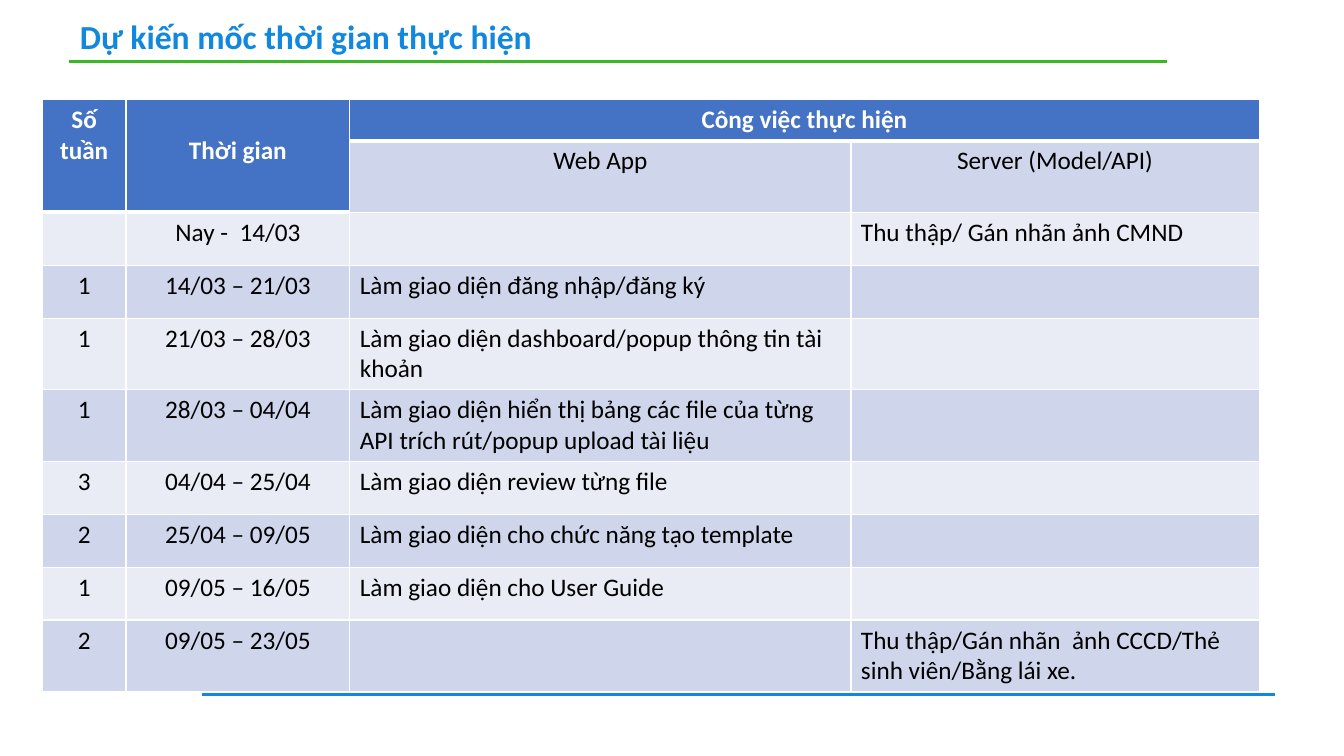
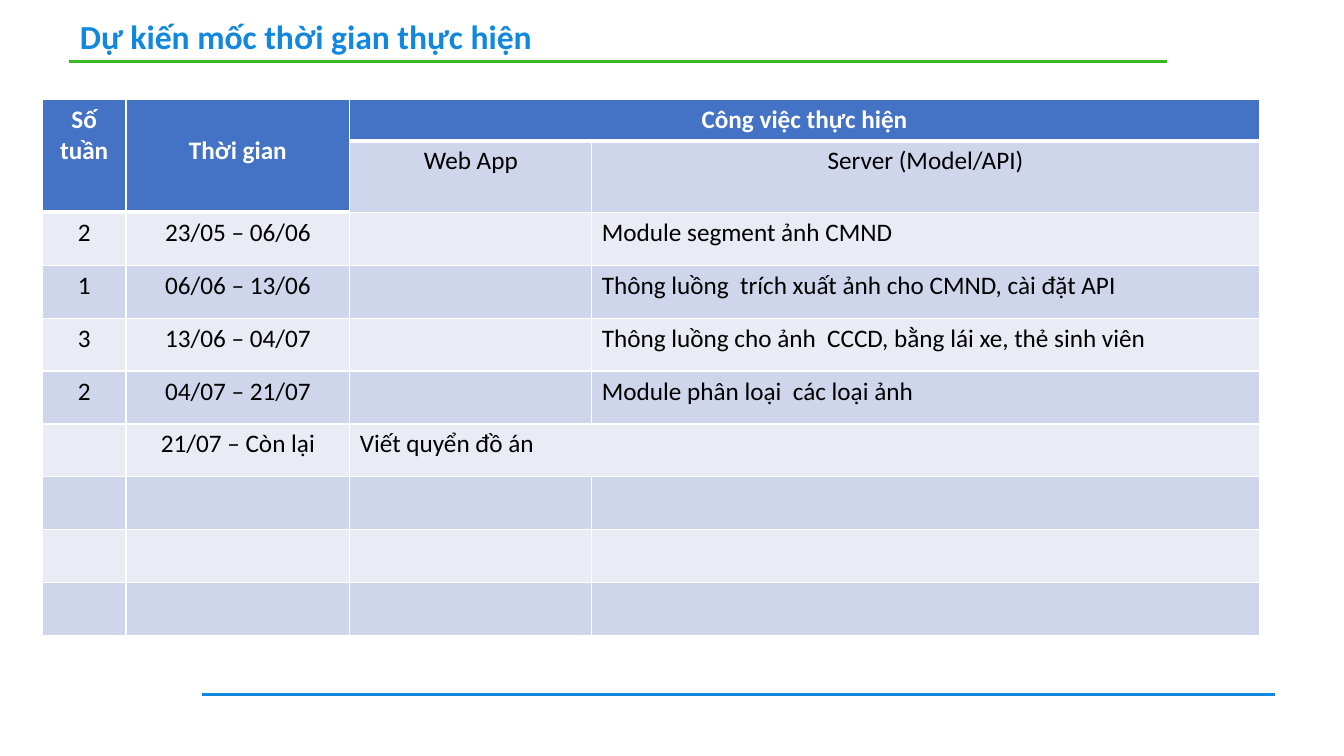
import pptx
import pptx.dml.color
import pptx.enum.shapes
import pptx.enum.text
import pptx.oxml
import pptx.oxml.ns
import pptx.util
from pptx.util import Inches

FONT = "Calibri"
BLUE, GREEN, WHITE, BLACK = "1188DE", "3AB824", "FFFFFF", "000000"
HEADER_FILL = "4472C4"
BAND_FILLS = ("E9EBF5", "CFD5EA")
CENTER = pptx.enum.text.PP_ALIGN.CENTER
LEFT = pptx.enum.text.PP_ALIGN.LEFT

TITLE = "Dự kiến mốc thời gian thực hiện"
HEADER_ROWS = [
    ("Số tuần", "Thời gian", "Công việc thực hiện", ""),
    ("", "", "Web App", "Server (Model/API)"),
]
HEADER_HEIGHTS = (0.4, 0.7)
ROW_HEIGHT = 0.525
RULES = [(2, 12.65, 6.89, BLUE), (0.68, 11.57, 0.61, GREEN)]

# A row of three entries lets its last entry span both work columns.
SCHEDULES = [
    {
        "widths": (0.83, 2.22, 4.97, 4.05),
        "rows": [
            ("", "Nay -  14/03", "", "Thu thập/ Gán nhãn ảnh CMND"),
            ("1", "14/03 – 21/03", "Làm giao diện đăng nhập/đăng ký", ""),
            ("1", "21/03 – 28/03",
             "Làm giao diện dashboard/popup thông tin tài khoản", ""),
            ("1", "28/03 – 04/04",
             "Làm giao diện hiển thị bảng các file của từng API "
             "trích rút/popup upload tài liệu", ""),
            ("3", "04/04 – 25/04", "Làm giao diện review từng file", ""),
            ("2", "25/04 – 09/05",
             "Làm giao diện cho chức năng tạo template", ""),
            ("1", "09/05 – 16/05", "Làm giao diện cho User Guide", ""),
            ("2", "09/05 – 23/05", "",
             "Thu thập/Gán nhãn  ảnh CCCD/Thẻ sinh viên/Bằng lái xe."),
        ],
    },
    {
        "widths": (0.83, 2.22, 2.4, 6.62),
        "rows": [
            ("2", "23/05 – 06/06", "", "Module segment ảnh CMND"),
            ("1", "06/06 – 13/06", "",
             "Thông luồng  trích xuất ảnh cho CMND, cài đặt API"),
            ("3", "13/06 – 04/07", "",
             "Thông luồng cho ảnh  CCCD, bằng lái xe, thẻ sinh viên"),
            ("2", "04/07 – 21/07", "", "Module phân loại  các loại ảnh"),
            ("", "21/07 – Còn lại", "Viết quyển đồ án"),
        ] + [("",) * 4] * 3,
    },
]


def rgb(value):
    return pptx.dml.color.RGBColor.from_string(value)


def style_text(paragraph, size, color, bold, align):
    paragraph.alignment = align
    font = paragraph.font
    font.name, font.size, font.bold = FONT, pptx.util.Pt(size), bold
    font.color.rgb = rgb(color)


def add_rule(slide, left, right, top, color):
    rule = slide.shapes.add_connector(
        pptx.enum.shapes.MSO_CONNECTOR.ELBOW,
        Inches(left), Inches(top), Inches(right), Inches(top))
    rule.line.color.rgb = rgb(color)
    rule.line.width = pptx.util.Pt(2)
    rule._element.spPr.append(pptx.oxml.parse_xml(
        f"<a:effectLst {pptx.oxml.ns.nsdecls('a')}/>"))


def set_borders(cell, bottom_width):
    """Draw white left, right and bottom borders, with widths in points."""
    properties = cell._tc.get_or_add_tcPr()
    for index, (side, width) in enumerate(
            (("L", 1), ("R", 1), ("B", bottom_width))):
        properties.insert(index, pptx.oxml.parse_xml(
            f"<a:ln{side} {pptx.oxml.ns.nsdecls('a')} "
            f'w="{pptx.util.Pt(width)}"><a:solidFill>'
            f'<a:srgbClr val="{WHITE}"/></a:solidFill></a:ln{side}>'))


def add_title(slide):
    title = slide.shapes.title
    title.left, title.top = Inches(0.13), Inches(0)
    title.width, title.height = Inches(5.81), Inches(0.77)
    frame = title.text_frame
    frame.text = TITLE
    frame.word_wrap = True
    frame.auto_size = pptx.enum.text.MSO_AUTO_SIZE.NONE
    frame.vertical_anchor = pptx.enum.text.MSO_ANCHOR.MIDDLE
    paragraph = frame.paragraphs[0]
    paragraph.line_spacing = 0.9
    paragraph.space_before = pptx.util.Pt(10)
    style_text(paragraph, 24, BLUE, True, CENTER)


def add_schedule(slide, widths, rows):
    all_rows = HEADER_ROWS + rows
    heights = list(HEADER_HEIGHTS) + [ROW_HEIGHT] * len(rows)
    table = slide.shapes.add_table(
        len(all_rows), len(widths), Inches(0.42), Inches(0.99),
        Inches(sum(widths)), Inches(sum(heights))).table
    table.horz_banding = False
    for column, width in zip(table.columns, widths):
        column.width = Inches(width)

    for r, (entries, height) in enumerate(zip(all_rows, heights)):
        table.rows[r].height = Inches(height)
        for c in range(len(widths)):
            cell = table.cell(r, c)
            is_header = r == 0 or (r == 1 and c < 2)
            cell.text = entries[c] if c < len(entries) else ""
            cell.fill.solid()
            cell.fill.fore_color.rgb = rgb(
                HEADER_FILL if is_header else BAND_FILLS[r % 2])
            set_borders(cell, 3 if is_header else 1)
            style_text(cell.text_frame.paragraphs[0], 18,
                       WHITE if is_header else BLACK, is_header,
                       CENTER if r < len(HEADER_ROWS) or c < 2 else LEFT)
        if r == 0 or len(entries) < len(widths):
            table.cell(r, 2).merge(table.cell(r, 3))

    for c in (0, 1):
        table.cell(0, c).merge(table.cell(1, c))
    table.cell(0, 1).margin_top = Inches(0.35)


def main():
    deck = pptx.Presentation()
    deck.slide_width, deck.slide_height = Inches(13.33), Inches(7.5)
    title_only = deck.slide_layouts[5]
    for schedule in SCHEDULES:
        slide = deck.slides.add_slide(title_only)
        for rule in RULES:
            add_rule(slide, *rule)
        add_title(slide)
        add_schedule(slide, **schedule)
    deck.save("out.pptx")


if __name__ == "__main__":
    main()
